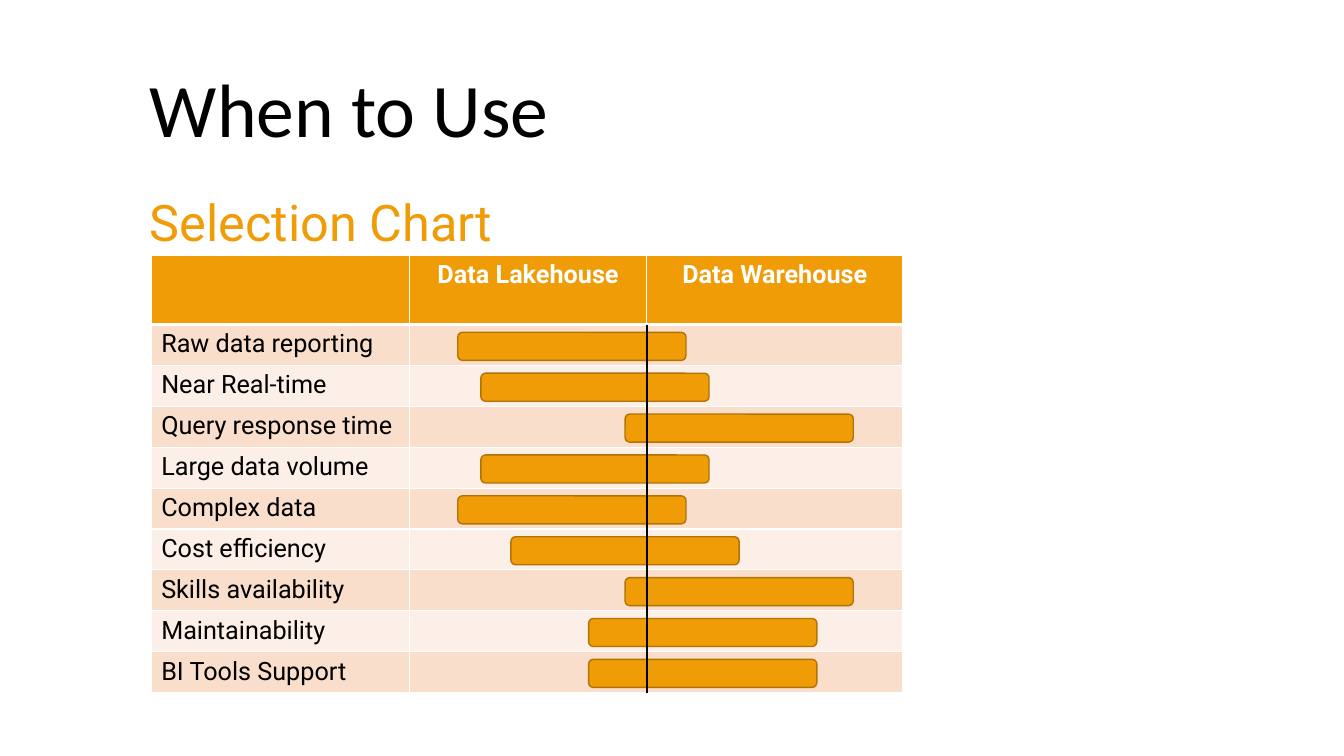
"""Build the "When to Use" slide with its selection chart."""
from lxml import etree
from pptx import Presentation
from pptx import util as u
from pptx.dml.color import RGBColor
from pptx.enum import shapes, text
from pptx.oxml import ns

COLORS = {"orange": "EF9C07", "outline": "B17305", "dark band": "F9DECC",
          "light band": "FCEFE7", "white": "FFFFFF", "black": "000000"}


def write(frame, wording, size=18, font="Roboto", color="black", bold=False,
          align=text.PP_ALIGN.LEFT, anchor=text.MSO_ANCHOR.TOP, spacing=1.0, before=0):
    frame.word_wrap = True
    frame.vertical_anchor = anchor
    para = frame.paragraphs[0]
    para.alignment = align
    para.line_spacing = spacing
    para.space_before = u.Pt(before)
    span = para.add_run()
    span.text = wording
    span.font.size = u.Pt(size)
    span.font.name = font
    span.font.bold = bold
    span.font.color.rgb = RGBColor.from_string(COLORS[color])


def style_cell(cell, fill, bottom=1):
    props = cell._tc.get_or_add_tcPr()
    for side, width in (("L", 1), ("R", 1), ("T", 1), ("B", bottom)):
        border = etree.SubElement(props, ns.qn(f"a:ln{side}"), w=str(u.Pt(width)))
        solid = etree.SubElement(border, ns.qn("a:solidFill"))
        etree.SubElement(solid, ns.qn("a:srgbClr"), val=COLORS["white"])
    cell.fill.solid()
    cell.fill.fore_color.rgb = RGBColor.from_string(COLORS[fill])


deck = Presentation()
deck.slide_width, deck.slide_height = u.Pt(960), u.Pt(540)
page = deck.slides.add_slide(deck.slide_layouts[6])

title = page.shapes.add_textbox(u.Pt(100), u.Pt(28.8), u.Pt(778), u.Pt(103.7))
write(title.text_frame, "When to Use", size=54, font="Calibri",
      anchor=text.MSO_ANCHOR.MIDDLE, spacing=0.9)
subtitle = page.shapes.add_textbox(u.Pt(100), u.Pt(137.5), u.Pt(778), u.Pt(51.8))
write(subtitle.text_frame, "Selection Chart", size=36, color="orange", spacing=0.9, before=10)

headings = ["", "Data Lakehouse", "Data Warehouse"]
widths = [184.5, 169.5, 183]
criteria = [("Raw data reporting", 327), ("Near Real-time", 343.5),
            ("Query response time", 446.5), ("Large data volume", 343.5),
            ("Complex data", 327), ("Cost efficiency", 365),
            ("Skills availability", 446.5), ("Maintainability", 420.5),
            ("BI Tools Support", 420.5)]
left, top, header_height, row_height = 108, 182.5, 49.4, 29.2
table_height = header_height + row_height * len(criteria)

table = page.shapes.add_table(len(criteria) + 1, len(widths), u.Pt(left), u.Pt(top),
                              u.Pt(sum(widths)), u.Pt(table_height)).table
for column, width in zip(table.columns, widths):
    column.width = u.Pt(width)
for row in table.rows:
    row.height = u.Pt(row_height)
table.rows[0].height = u.Pt(header_height)

for cell, heading in zip(table.rows[0].cells, headings):
    style_cell(cell, "orange", bottom=3)
    if heading:
        write(cell.text_frame, heading, color="white", bold=True, align=text.PP_ALIGN.CENTER)

for index, (criterion, bar_left) in enumerate(criteria):
    cells = list(table.rows[index + 1].cells)
    for cell in cells:
        style_cell(cell, "light band" if index % 2 else "dark band")
    write(cells[0].text_frame, criterion)

    bar_top = top + header_height + index * row_height + 5.5
    bar = page.shapes.add_shape(shapes.MSO_SHAPE.ROUNDED_RECTANGLE, u.Pt(bar_left),
                                u.Pt(bar_top), u.Pt(163), u.Pt(20))
    bar.shadow.inherit = False
    bar.fill.solid()
    bar.fill.fore_color.rgb = RGBColor.from_string(COLORS["orange"])
    bar.line.color.rgb = RGBColor.from_string(COLORS["outline"])
    bar.line.width = u.Pt(1)

divider_x = left + sum(widths[:2])
divider = page.shapes.add_connector(shapes.MSO_CONNECTOR.STRAIGHT, u.Pt(divider_x),
                                    u.Pt(top + header_height), u.Pt(divider_x),
                                    u.Pt(top + table_height))
divider.line.color.rgb = RGBColor.from_string(COLORS["black"])
divider.line.width = u.Pt(1.5)
etree.SubElement(divider._element.spPr, ns.qn("a:effectLst"))

deck.save("out.pptx")
